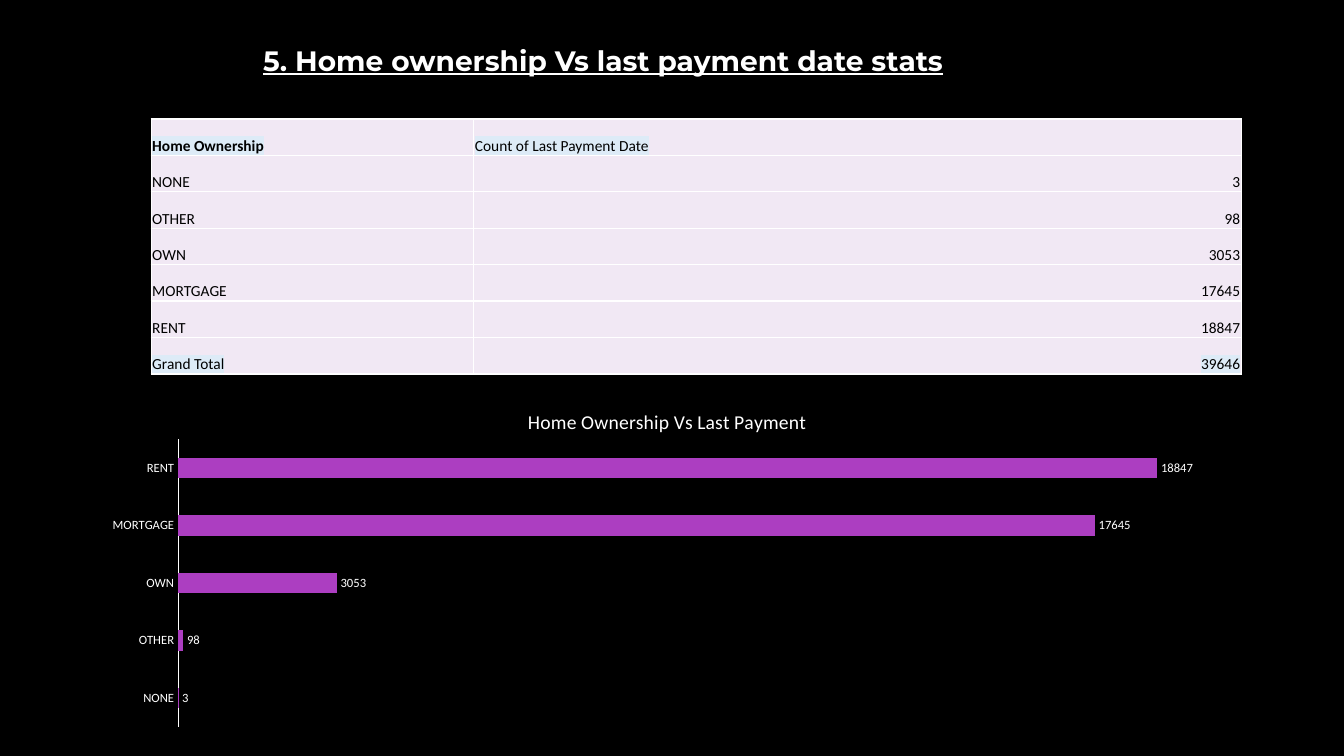
from dataclasses import dataclass

from lxml.etree import SubElement
from pptx import Presentation
from pptx.chart.data import CategoryChartData
from pptx.dml.color import RGBColor
from pptx.enum.chart import XL_CHART_TYPE, XL_LABEL_POSITION, XL_TICK_MARK
from pptx.enum.text import MSO_ANCHOR, PP_ALIGN
from pptx.oxml import parse_xml
from pptx.oxml.ns import nsdecls, qn
from pptx.util import Inches, Pt

COLORS = {
    "background": "000000",
    "light": "FFFFFF",
    "dark": "000000",
    "cell": "F1E8F4",
    "highlight": "DDEBF7",
    "bar": "AC3EC1",
}
BODY_FONT = "Calibri"


@dataclass
class Ownership:
    name: str
    payments: int


@dataclass
class TableRow:
    label: str
    value: str
    highlighted: bool = False
    header: bool = False


OWNERSHIPS = [
    Ownership("NONE", 3),
    Ownership("OTHER", 98),
    Ownership("OWN", 3053),
    Ownership("MORTGAGE", 17645),
    Ownership("RENT", 18847),
]


def color(name: str) -> RGBColor:
    return RGBColor.from_string(COLORS[name])


def style_font(font, size: float, color_name: str, name: str = BODY_FONT, bold: bool = False) -> None:
    font.size = Pt(size)
    font.name = name
    font.bold = bold
    font.color.rgb = color(color_name)


def add_title(slide) -> None:
    title = slide.shapes.title
    title.left, title.top = Inches(2.51), Inches(0.38)
    title.width, title.height = Inches(9.15), Inches(0.44)
    frame = title.text_frame
    frame.text = "5. Home ownership Vs last payment date stats"
    frame.word_wrap = True
    frame.vertical_anchor = MSO_ANCHOR.TOP
    para = frame.paragraphs[0]
    para.alignment = PP_ALIGN.LEFT
    font = para.runs[0].font
    style_font(font, 20, "light", "Montserrat", bold=True)
    font.underline = True


def add_borders(cell) -> None:
    properties = cell._tc.get_or_add_tcPr()
    for index, side in enumerate(("lnL", "lnR", "lnT", "lnB")):
        border = parse_xml(
            f'<a:{side} {nsdecls("a")} w="{Pt(1)}"><a:solidFill>'
            f'<a:srgbClr val="{COLORS["light"]}"/></a:solidFill></a:{side}>'
        )
        properties.insert(index, border)


def add_highlight(span) -> None:
    fill = span.font._element.find(qn("a:solidFill"))
    highlight = parse_xml(
        f'<a:highlight {nsdecls("a")}><a:srgbClr val="{COLORS["highlight"]}"/></a:highlight>'
    )
    fill.addnext(highlight)


def fill_cell(cell, text: str, alignment: PP_ALIGN, bold: bool, highlighted: bool) -> None:
    cell.fill.solid()
    cell.fill.fore_color.rgb = color("cell")
    cell.margin_left = cell.margin_right = cell.margin_top = Inches(0.01)
    cell.margin_bottom = 0
    cell.vertical_anchor = MSO_ANCHOR.BOTTOM
    add_borders(cell)
    cell.text_frame.text = text
    para = cell.text_frame.paragraphs[0]
    para.alignment = alignment
    span = para.runs[0]
    style_font(span.font, 11, "dark", bold=bold)
    if highlighted:
        add_highlight(span)


def add_ownership_table(slide) -> None:
    total = sum(item.payments for item in OWNERSHIPS)
    rows = [
        TableRow("Home Ownership", "Count of Last Payment Date", True, True),
        *(TableRow(item.name, str(item.payments)) for item in OWNERSHIPS),
        TableRow("Grand Total", str(total), True),
    ]
    table = slide.shapes.add_table(
        len(rows), 2, Inches(1.5), Inches(1.18), Inches(10.81), Inches(2.53)
    ).table
    for column, width in zip(table.columns, (3.2, 7.61)):
        column.width = Inches(width)
    for index, row in enumerate(rows):
        value_alignment = PP_ALIGN.LEFT if row.header else PP_ALIGN.RIGHT
        fill_cell(table.cell(index, 0), row.label, PP_ALIGN.LEFT, row.header, row.highlighted)
        fill_cell(table.cell(index, 1), row.value, value_alignment, False, row.highlighted)


def place(parent, **fractions: float) -> None:
    layout = parent.find(qn("c:layout"))
    if layout is None:
        layout = parent.makeelement(qn("c:layout"))
        text = parent.find(qn("c:tx"))
        if text is None:
            parent.insert(0, layout)
        else:
            text.addnext(layout)
    manual = SubElement(layout, qn("c:manualLayout"))
    if "w" in fractions:
        SubElement(manual, qn("c:layoutTarget")).set("val", "inner")
    for mode in ("xMode", "yMode"):
        SubElement(manual, qn(f"c:{mode}")).set("val", "edge")
    for key, value in fractions.items():
        SubElement(manual, qn(f"c:{key}")).set("val", str(value))


def add_payment_chart(slide) -> None:
    data = CategoryChartData()
    data.categories = [item.name for item in OWNERSHIPS]
    data.add_series("Series 1", [item.payments for item in OWNERSHIPS])
    chart = slide.shapes.add_chart(
        XL_CHART_TYPE.BAR_CLUSTERED,
        Inches(0.85), Inches(3.84), Inches(11.45), Inches(3.44), data,
    ).chart
    style_font(chart.font, 10, "light")
    chart.has_legend = False
    chart.has_title = True
    title_frame = chart.chart_title.text_frame
    title_frame.text = "Home Ownership Vs Last Payment"
    style_font(title_frame.paragraphs[0].runs[0].font, 14, "light")
    place(chart.chart_title._element, x=0.38, y=0.05)

    category_axis = chart.category_axis
    category_axis.major_tick_mark = XL_TICK_MARK.NONE
    category_axis.minor_tick_mark = XL_TICK_MARK.NONE
    category_axis.format.line.color.rgb = color("light")
    category_axis.format.line.width = Pt(0.75)
    style_font(category_axis.tick_labels.font, 9, "light")

    value_axis = chart.value_axis
    value_axis.minimum_scale = 0
    value_axis.maximum_scale = 20000
    value_axis.has_major_gridlines = False
    value_axis.visible = False

    plot = chart.plots[0]
    plot.gap_width = 182
    plot.vary_by_categories = False
    bars = plot.series[0]
    bars.format.fill.solid()
    bars.format.fill.fore_color.rgb = color("bar")
    labels = bars.data_labels
    labels.show_value = True
    labels.position = XL_LABEL_POSITION.OUTSIDE_END
    style_font(labels.font, 9, "light")
    plot_area = chart._chartSpace.find(f".//{qn('c:plotArea')}")
    place(plot_area, x=0.08, y=0.15, w=0.9, h=0.83)


def main() -> None:
    deck = Presentation()
    deck.slide_width, deck.slide_height = Inches(13.33), Inches(7.5)
    page = deck.slides.add_slide(deck.slide_layouts[5])
    page.background.fill.solid()
    page.background.fill.fore_color.rgb = color("background")
    add_title(page)
    add_payment_chart(page)
    add_ownership_table(page)
    deck.save("out.pptx")


if __name__ == "__main__":
    main()
